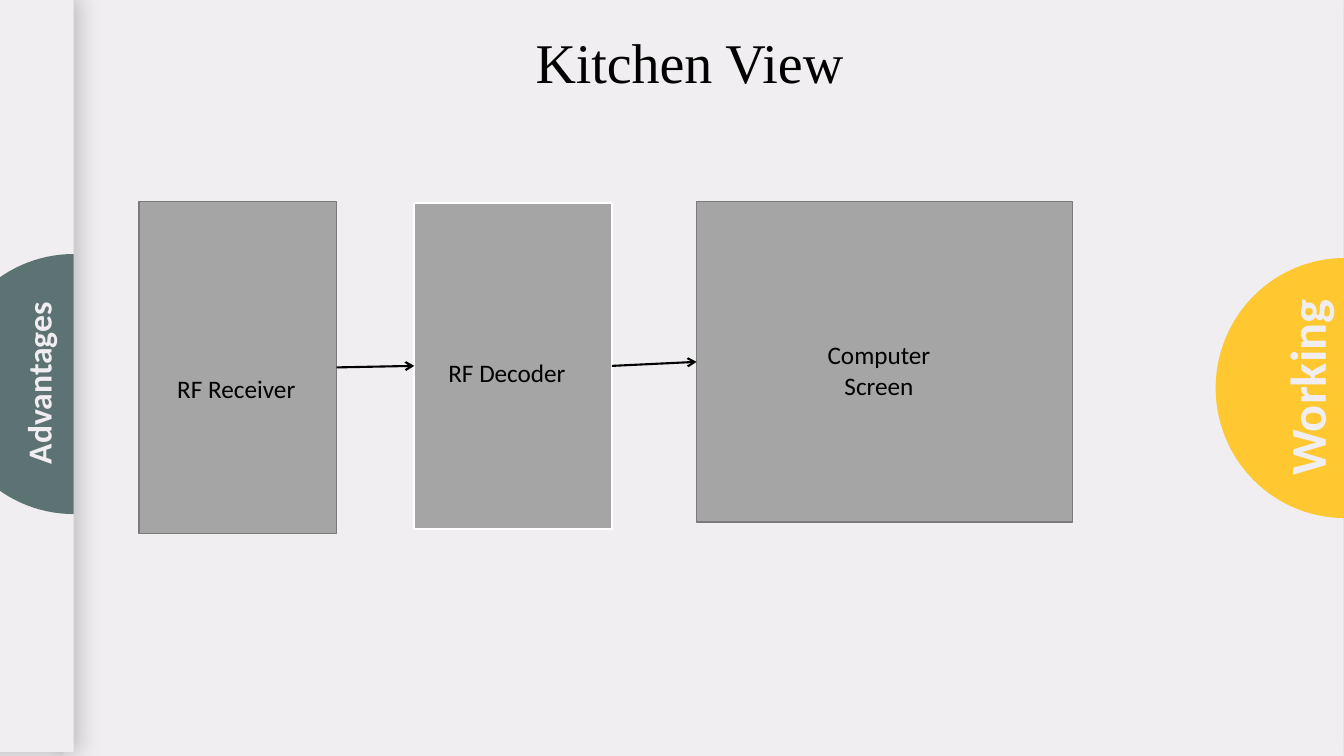
from math import cos, pi, sin

from lxml import etree
from pptx import Presentation
from pptx.dml.color import RGBColor
from pptx.enum.shapes import MSO_CONNECTOR, MSO_SHAPE
from pptx.enum.text import MSO_AUTO_SIZE, PP_ALIGN
from pptx.oxml.ns import qn
from pptx.util import Inches, Pt

RECT = MSO_SHAPE.RECTANGLE
STRAIGHT = MSO_CONNECTOR.STRAIGHT
CENTER, LEFT = PP_ALIGN.CENTER, PP_ALIGN.LEFT
FIT = MSO_AUTO_SIZE.SHAPE_TO_FIT_TEXT
SIDE_LEFT, SIDE_RIGHT = 1, 3

PAPER = RGBColor(0xF0, 0xEE, 0xF0)
YELLOW = RGBColor(0xFF, 0xC7, 0x30)
TEAL = RGBColor(0x5D, 0x73, 0x73)
GREY = RGBColor(0xA5, 0xA5, 0xA5)
EDGE = RGBColor(0x7A, 0x7A, 0x7A)
WHITE = RGBColor(0xFF, 0xFF, 0xFF)
BLACK = RGBColor(0, 0, 0)
SHADOW = RGBColor(0x59, 0x59, 0x59)

CELL = Inches(0.1)
COLS, ROWS = 133.33, 75
TAB_W, TAB_H, TAB_STEPS = 12.8, 25.8, 60


def grid(*cells):
    return [round(c * CELL) for c in cells]


class Deck:
    def __init__(self, font="Calibri"):
        self.font = font
        self.prs = Presentation()
        self.prs.slide_width, self.prs.slide_height = grid(COLS, ROWS)
        self.s = self.prs.slides.add_slide(self.prs.slide_layouts[6])
        fill = self.s.background.fill
        fill.solid()
        fill.fore_color.rgb = PAPER

    def paint(self, sp, color):
        sp.shadow.inherit = False
        sp.fill.solid()
        sp.fill.fore_color.rgb = color
        sp.line.fill.background()
        return sp

    def box(self, x, y, w, h, color, edge=None, weight=1):
        sp = self.s.shapes.add_shape(RECT, *grid(x, y, w, h))
        self.paint(sp, color)
        if edge is not None:
            sp.line.color.rgb = edge
            sp.line.width = Pt(weight)
        return sp

    def panel(self, x, y, w, h):
        sp = self.box(x, y, w, h, PAPER)
        effects = sp._element.spPr.find(qn("a:effectLst"))
        shadow = etree.SubElement(effects, qn("a:outerShdw"), blurRad=str(Pt(17)),
                                  dist=str(Pt(3)), dir="0", algn="l", rotWithShape="0")
        color = etree.SubElement(shadow, qn("a:srgbClr"), val=str(SHADOW))
        etree.SubElement(color, qn("a:alpha"), val="35000")

    def tab(self, x, y, color):
        angles = [pi / 2 + pi * i / TAB_STEPS for i in range(TAB_STEPS + 1)]
        points = [grid(x + TAB_W * (1 + cos(a)), y + TAB_H / 2 * (1 - sin(a)))
                  for a in angles]
        builder = self.s.shapes.build_freeform(*points[0], scale=1.0)
        builder.add_line_segments(points[1:], close=True)
        self.paint(builder.convert_to_shape(), color)

    def text(self, x, y, w, h, words, size, color=BLACK, font=None,
             bold=False, align=CENTER, turn=0):
        sp = self.s.shapes.add_textbox(*grid(x, y, w, h))
        sp.rotation = turn
        tf = sp.text_frame
        tf.word_wrap = True
        tf.auto_size = FIT
        p = tf.paragraphs[0]
        p.alignment = align
        r = p.add_run()
        r.text = words
        r.font.name = font or self.font
        r.font.size = Pt(size)
        r.font.bold = bold
        r.font.color.rgb = color

    def arrow(self, source, target):
        c = self.s.shapes.add_connector(STRAIGHT, 0, 0, 0, 0)
        c.begin_connect(source, SIDE_RIGHT)
        c.end_connect(target, SIDE_LEFT)
        c.line.color.rgb = BLACK
        c.line.width = Pt(1.5)
        etree.SubElement(c.line._get_or_add_ln(), qn("a:tailEnd"), type="arrow")
        etree.SubElement(c._element.spPr, qn("a:effectLst"))


def main():
    d = Deck()

    d.panel(6.3, 0, 127, 75)
    d.tab(120.6, 25.6, YELLOW)
    d.text(118.7, 34.9, 21.8, 7.1, "Working", 36, PAPER, bold=True, turn=270)

    d.panel(-97.4, -0.4, 104.7, 75)
    d.tab(-5.5, 25.2, TEAL)
    d.text(-7.1, 35.5, 21.8, 5, "Advantages", 24, PAPER, bold=True, turn=270)

    receiver = d.box(13.8, 20, 19.6, 32.9, GREY, EDGE)
    decoder = d.box(41.1, 20.1, 19.6, 32.4, GREY, WHITE, 1.5)
    screen = d.box(69.1, 20, 37.3, 31.8, GREY, EDGE)
    d.arrow(receiver, decoder)
    d.arrow(decoder, screen)

    d.text(16.6, 36.5, 14.9, 4, "RF Receiver", 18, align=LEFT)
    d.text(40.6, 35, 19.4, 4, "RF Decoder", 18)
    d.text(77.5, 33.2, 19.4, 7.1, "Computer Screen", 18)
    d.text(33.7, 2.2, 69.4, 7.7, "Kitchen View", 40, font="Times New Roman")

    d.prs.save("out.pptx")


if __name__ == "__main__":
    main()
